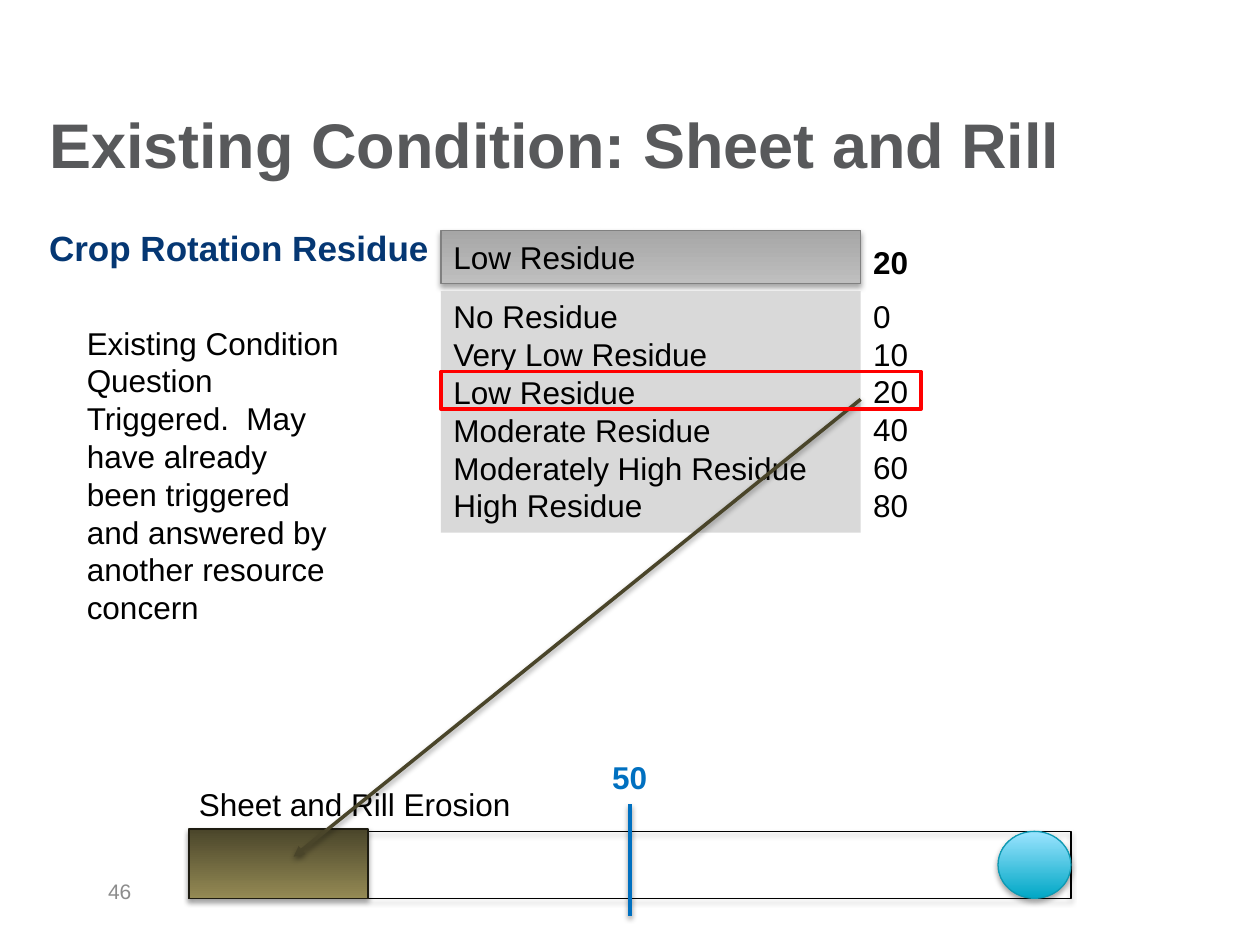
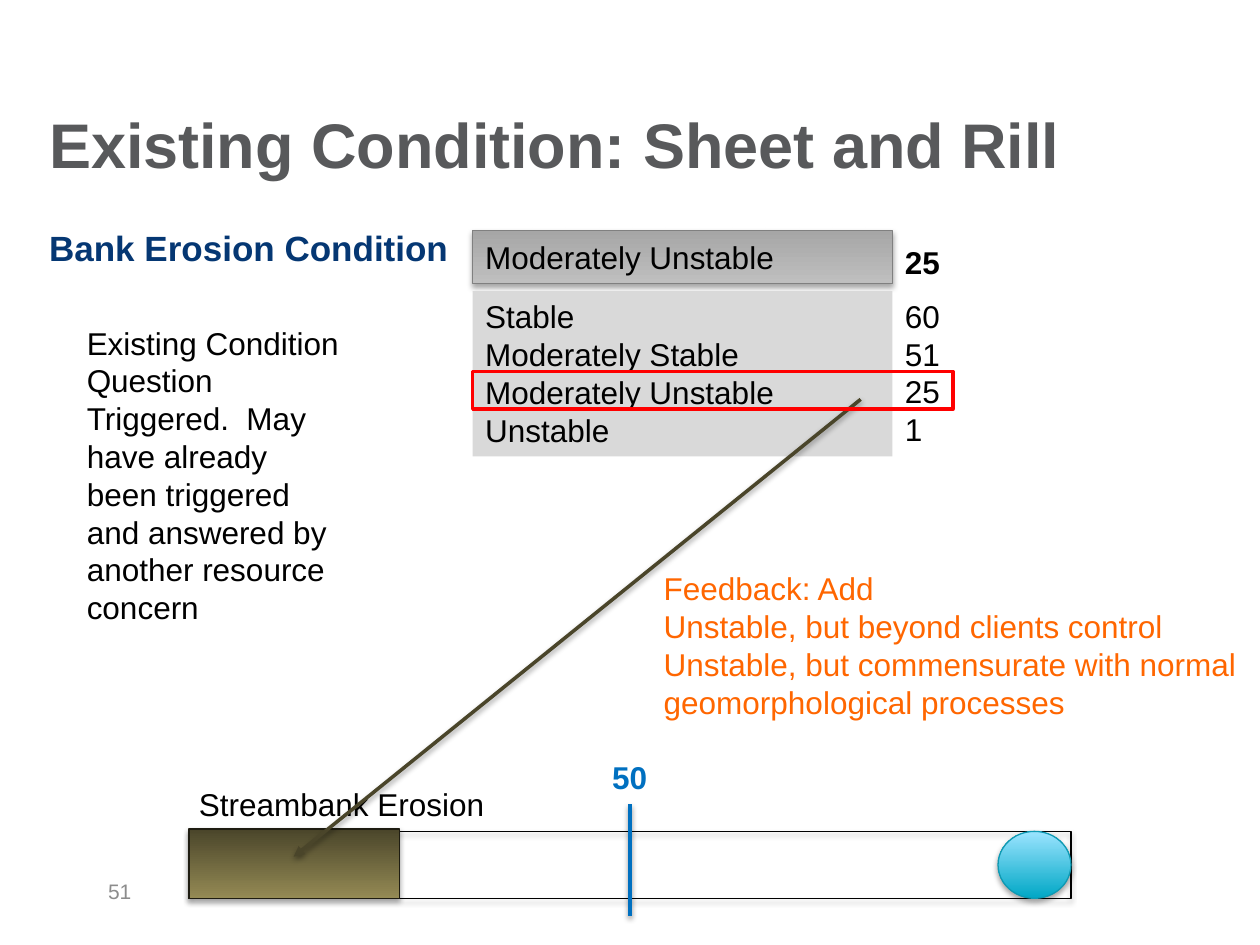
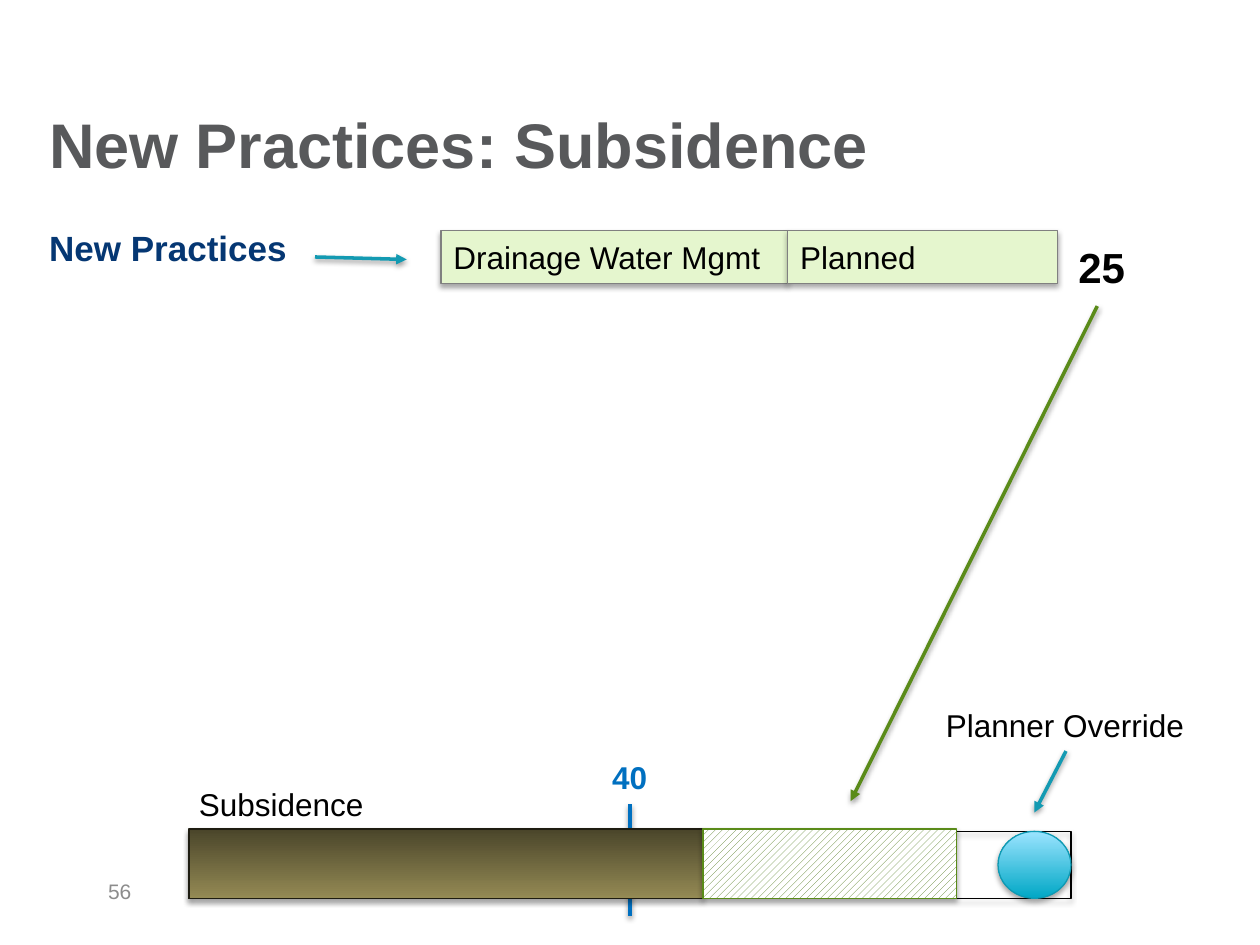
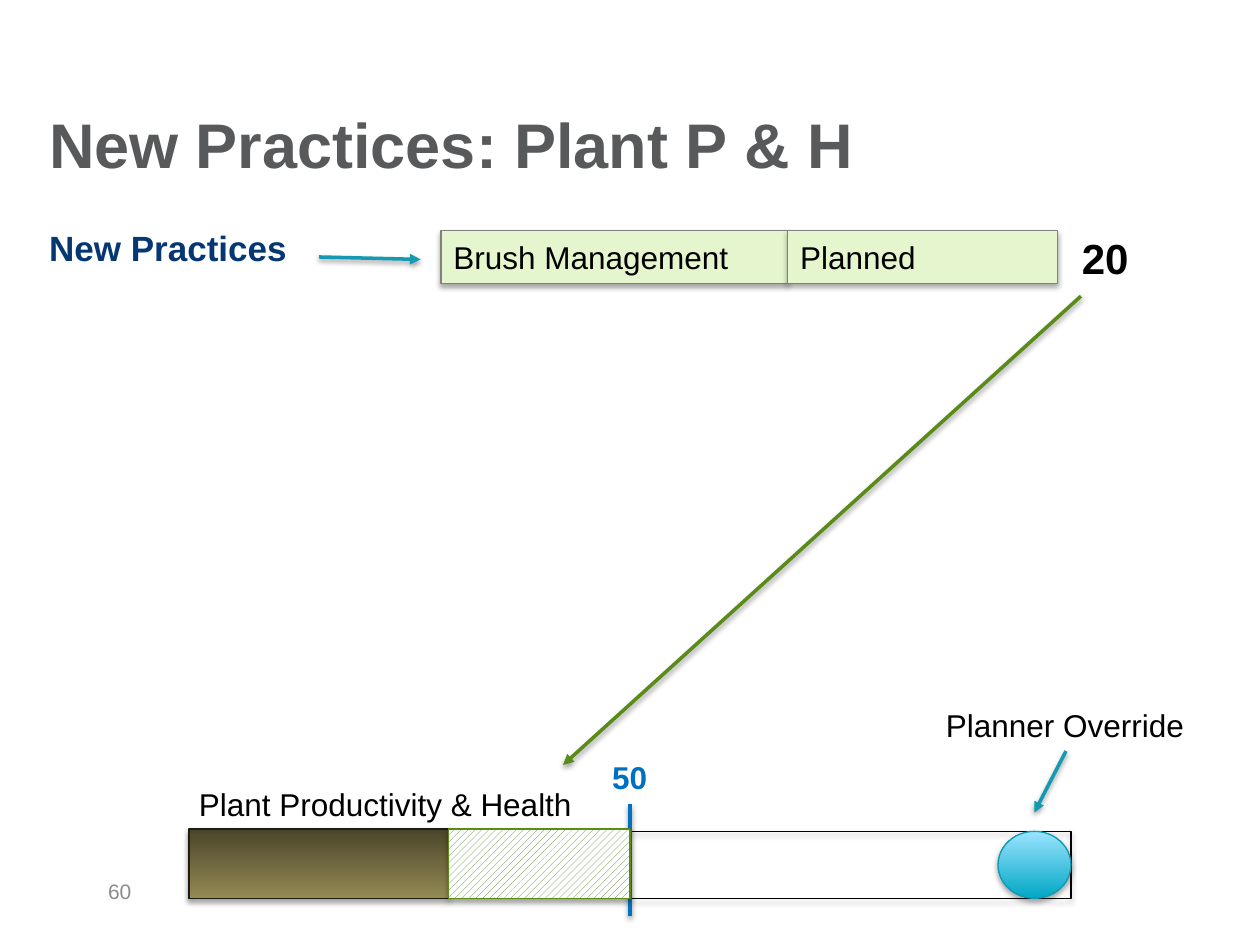
"""Build four slides that score conservation conditions and practices on a gauge."""
from lxml import etree
from pptx import Presentation
from pptx.dml.color import RGBColor
from pptx.enum.dml import MSO_PATTERN
from pptx.enum.shapes import MSO_CONNECTOR, MSO_SHAPE
from pptx.enum.text import MSO_ANCHOR, MSO_AUTO_SIZE, PP_ALIGN
from pptx.oxml.ns import qn
from pptx.util import Cm, Pt

FONT = "Arial"
BLACK = RGBColor(0, 0, 0)
WHITE = RGBColor(255, 255, 255)
TITLE_GRAY = RGBColor(0x58, 0x59, 0x5B)
NUMBER_GRAY = RGBColor(0x8C, 0x8C, 0x8C)
NAVY = RGBColor(0x05, 0x37, 0x73)
BLUE = RGBColor(0x00, 0x70, 0xC0)
RED = RGBColor(0xFF, 0, 0)
ORANGE = RGBColor(0xFF, 0x66, 0)
EDGE_GRAY = RGBColor(0x80, 0x80, 0x80)
LIST_GRAY = RGBColor(0xD9, 0xD9, 0xD9)
DARK_SOIL = RGBColor(0x4A, 0x45, 0x2A)
SOIL_EDGE = RGBColor(0x1E, 0x1C, 0x11)
PALE_GREEN = RGBColor(0xE5, 0xF6, 0xCE)
GREEN = RGBColor(0x5A, 0x8B, 0x19)
HATCH_GREEN = RGBColor(0x56, 0x7F, 0x25)
TEAL = RGBColor(0x13, 0x9A, 0xB2)
BALL_EDGE = RGBColor(0x0F, 0x99, 0xB2)
GRAY_BLEND = (RGBColor(0xBF, 0xBF, 0xBF), RGBColor(0xA6, 0xA6, 0xA6))
SOIL_BLEND = (RGBColor(0x94, 0x8A, 0x54), DARK_SOIL)
BALL_BLEND = (RGBColor(0x00, 0xA7, 0xC5), RGBColor(0x9B, 0xE4, 0xFF))

NOTE = ("Existing Condition Question Triggered.  May have already been "
        "triggered and answered by another resource concern")
FEEDBACK = ["Feedback: Add", "Unstable, but beyond clients control",
            "Unstable, but commensurate with normal geomorphological processes"]
CONDITIONS = [
    dict(number="46", title="Existing Condition: Sheet and Rill",
         heading="Crop Rotation Residue", left=8.89, picked=2,
         choices=[("No Residue", "0"), ("Very Low Residue", "10"),
                  ("Low Residue", "20"), ("Moderate Residue", "40"),
                  ("Moderately High Residue", "60"), ("High Residue", "80")],
         gauge=dict(label="Sheet and Rill Erosion", label_width=6.86,
                    threshold="50", existing=3.61), feedback=[]),
    dict(number="51", title="Existing Condition: Sheet and Rill",
         heading="Bank Erosion Condition", left=9.53, picked=2,
         choices=[("Stable", "60"), ("Moderately Stable", "51"),
                  ("Moderately Unstable", "25"), ("Unstable", "1")],
         gauge=dict(label="Streambank Erosion", label_width=6.32,
                    threshold="50", existing=4.24), feedback=FEEDBACK),
]
PRACTICES = [
    dict(number="56", title="New Practices: Subsidence", heading="New Practices",
         practice="Drainage Water Mgmt", status="Planned",
         points="25", points_at=(21.49, 4.75),
         pointer=((6.35, 5.18), (8.2, 5.23)),
         arrow=((22.12, 6.17), (17.15, 16.15)),
         gauge=dict(label="Subsidence", label_width=3.86,
                    threshold="40", existing=10.36, added=5.11)),
    dict(number="60", title="New Practices: Plant P & H", heading="New Practices",
         practice="Brush Management", status="Planned",
         points="20", points_at=(21.56, 4.57),
         pointer=((6.43, 5.18), (8.48, 5.23)),
         arrow=((21.79, 5.97), (11.35, 15.42)),
         gauge=dict(label="Plant Productivity & Health", label_width=8.1,
                    threshold="50", existing=5.23, added=3.66)),
]

ROW = 0.77
LINE_HEIGHT = 1.02
FIELD_TOP, FIELD_HEIGHT = 4.65, 1.07
LIST_TOP, LIST_WIDTH = 5.87, 8.46
SCORE_WIDTH = 1.22
BAR_LEFT, BAR_TOP, BAR_WIDTH, BAR_HEIGHT = 3.81, 16.76, 17.78, 1.35
BALL_WIDTH = 1.47


def add_shadow(shape, alpha, distance):
    """Give a shape or connector a soft shadow below it."""
    properties = shape._element.spPr
    effects = properties.find(qn("a:effectLst"))
    if effects is None:
        effects = etree.SubElement(properties, qn("a:effectLst"))
    shadow = etree.SubElement(effects, qn("a:outerShdw"), blurRad=str(Pt(3.1)),
                              dist=str(Pt(distance)), dir="5400000", rotWithShape="0")
    color = etree.SubElement(shadow, qn("a:srgbClr"), val=str(BLACK))
    etree.SubElement(color, qn("a:alpha"), val=str(alpha * 1000))


def write(shape, lines, size=18, color=BLACK, bold=False, anchor=MSO_ANCHOR.TOP):
    """Write one left-aligned paragraph per line."""
    frame = shape.text_frame
    frame.vertical_anchor = anchor
    for index, line in enumerate(lines):
        para = frame.paragraphs[0] if index == 0 else frame.add_paragraph()
        para.alignment = PP_ALIGN.LEFT
        span = para.add_run()
        span.text = line
        span.font.name = FONT
        span.font.size = Pt(size)
        span.font.bold = bold
        span.font.color.rgb = color


def add_text(page, area, lines, wrap=True, grow=True, **style):
    """Add a text box at an area in centimetres."""
    box = page.shapes.add_textbox(*map(Cm, area))
    box.text_frame.word_wrap = wrap
    box.text_frame.auto_size = (MSO_AUTO_SIZE.SHAPE_TO_FIT_TEXT if grow
                                else MSO_AUTO_SIZE.NONE)
    write(box, lines, **style)
    return box


def add_box(page, area, fill=None, edge=None, weight=0.75, shadow=True,
            kind=MSO_SHAPE.RECTANGLE):
    """Add a shape with no fill, a solid fill or a vertical blend."""
    box = page.shapes.add_shape(kind, *map(Cm, area))
    box.shadow.inherit = False
    if fill is None:
        box.fill.background()
    elif isinstance(fill, RGBColor):
        box.fill.solid()
        box.fill.fore_color.rgb = fill
    else:
        box.fill.gradient()
        box.fill.gradient_angle = 90
        for stop, color in zip(box.fill.gradient_stops, fill):
            stop.color.rgb = color
    if edge is None:
        box.line.fill.background()
    else:
        box.line.color.rgb = edge
        box.line.width = Pt(weight)
    if shadow:
        add_shadow(box, 35, 1.8)
    return box


def add_line(page, start, end, color, weight=2, arrow=True):
    """Draw a shadowed line, with an arrowhead at its end if asked."""
    line = page.shapes.add_connector(MSO_CONNECTOR.STRAIGHT, *map(Cm, start + end))
    line.line.color.rgb = color
    line.line.width = Pt(weight)
    if arrow:
        etree.SubElement(line.line._get_or_add_ln(), qn("a:tailEnd"), type="triangle")
    add_shadow(line, 38, 1.6)


def add_page(deck, item):
    """Add a slide with its title, heading and number."""
    page = deck.slides.add_slide(deck.slide_layouts[6])
    add_text(page, (0.74, 1.57, 22.86, 2.62), [item["title"]], grow=False,
             size=36, color=TITLE_GRAY, bold=True, anchor=MSO_ANCHOR.MIDDLE)
    add_text(page, (0.74, 4.45, 21.49, 12.57), [item["heading"]], grow=False,
             size=20, color=NAVY, bold=True)
    add_text(page, (1.93, 17.45, 5.92, LINE_HEIGHT), [item["number"]], grow=False,
             size=12, color=NUMBER_GRAY, anchor=MSO_ANCHOR.MIDDLE)
    return page


def add_field(page, left, width, text, fill):
    """Add a one-line field in the top row."""
    field = add_box(page, (left, FIELD_TOP, width, FIELD_HEIGHT), fill, EDGE_GRAY)
    write(field, [text], anchor=MSO_ANCHOR.MIDDLE)


def add_gauge(page, label, label_width, threshold, existing, added=0):
    """Draw the gauge with its threshold, existing score, added score and ball."""
    middle = BAR_LEFT + BAR_WIDTH / 2
    add_box(page, (BAR_LEFT, BAR_TOP, BAR_WIDTH, BAR_HEIGHT), edge=BLACK)
    add_text(page, (3.76, 15.7, label_width, LINE_HEIGHT), [label], wrap=False)
    add_line(page, (middle, 16.21), (middle, 18.47), BLUE, 2.5, arrow=False)
    add_text(page, (middle - SCORE_WIDTH / 2, 15.16, SCORE_WIDTH, LINE_HEIGHT),
             [threshold], wrap=False, color=BLUE, bold=True)
    top, height = BAR_TOP - 0.05, BAR_HEIGHT + 0.05
    add_box(page, (BAR_LEFT, top, existing, height), SOIL_BLEND, SOIL_EDGE)
    if added:
        hatch = add_box(page, (BAR_LEFT + existing, top, added, height), edge=GREEN)
        hatch.fill.patterned()
        hatch.fill.pattern = MSO_PATTERN.WIDE_UPWARD_DIAGONAL
        hatch.fill.fore_color.rgb = HATCH_GREEN
        hatch.fill.back_color.rgb = WHITE
    add_box(page, (BAR_LEFT + BAR_WIDTH - BALL_WIDTH, BAR_TOP, BALL_WIDTH, BAR_HEIGHT),
            BALL_BLEND, BALL_EDGE, kind=MSO_SHAPE.OVAL)


def add_condition(deck, item):
    """Add a slide with a list of answers and the picked one marked."""
    page = add_page(deck, item)
    left, picked = item["left"], item["picked"]
    names, scores = zip(*item["choices"])
    rows = ROW * len(names)
    add_field(page, left, LIST_WIDTH, names[picked], GRAY_BLEND)
    choices = add_box(page, (left, LIST_TOP, LIST_WIDTH, 0.25 + rows), LIST_GRAY,
                      shadow=False)
    write(choices, names)
    add_text(page, (1.5, 6.4, 5.61, 6.4), [NOTE])
    add_gauge(page, **item["gauge"])
    column = add_text(page, (left + LIST_WIDTH, 4.78, SCORE_WIDTH, 1.37 + rows),
                      (scores[picked],) + scores, wrap=False)
    total, first = column.text_frame.paragraphs[:2]
    total.runs[0].font.bold = True
    first.space_before = Pt(9)
    add_line(page, (17.35, 8.05), (5.92, 17.27), DARK_SOIL)
    add_box(page, (left, LIST_TOP + 0.08 + ROW * picked, LIST_WIDTH + SCORE_WIDTH, 0.76),
            edge=RED, weight=2, shadow=False)
    if item["feedback"]:
        add_text(page, (13.13, 11.35, 12.17, 3.33), item["feedback"], color=ORANGE)


def add_practice(deck, item):
    """Add a slide with a planned practice and the points it adds."""
    page = add_page(deck, item)
    add_field(page, 8.89, 6.99, item["practice"], PALE_GREEN)
    add_field(page, 15.88, 5.44, item["status"], PALE_GREEN)
    add_text(page, item["points_at"] + (1.47, 1.27), [item["points"]], wrap=False,
             size=24, bold=True)
    add_gauge(page, **item["gauge"])
    add_line(page, *item["arrow"], GREEN)
    add_line(page, *item["pointer"], TEAL)
    add_text(page, (18.82, 14.1, 5.36, LINE_HEIGHT), ["Planner Override"], wrap=False)
    add_line(page, (21.49, 15.14), (20.85, 16.38), TEAL)


def main():
    """Build and save the deck."""
    deck = Presentation()
    deck.slide_width, deck.slide_height = Cm(25.4), Cm(19.05)
    for item in CONDITIONS:
        add_condition(deck, item)
    for item in PRACTICES:
        add_practice(deck, item)
    deck.save("out.pptx")


if __name__ == "__main__":
    main()
